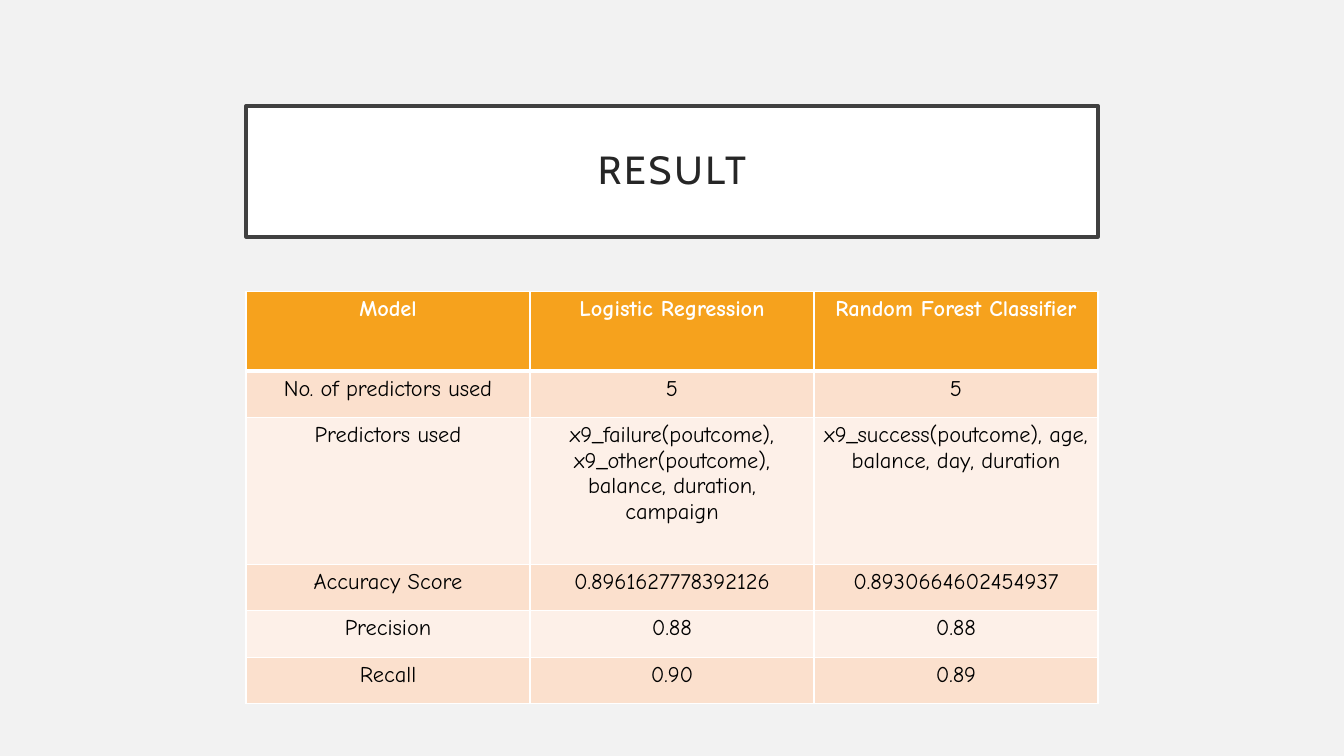
"""Build the slide that compares the results of two models."""
from dataclasses import dataclass

from lxml import etree
from pptx import Presentation
from pptx.dml.color import RGBColor
from pptx.enum.text import MSO_ANCHOR, MSO_AUTO_SIZE, PP_ALIGN
from pptx.oxml.ns import qn
from pptx.util import Inches, Pt

CENTER = PP_ALIGN.CENTER
MIDDLE = MSO_ANCHOR.MIDDLE
NO_FIT = MSO_AUTO_SIZE.NONE
TITLE_ONLY = 5
LEFT, WIDTH = 2.44, 8.45


@dataclass(frozen=True)
class Theme:
    back: str = "F2F2F2"
    white: str = "FFFFFF"
    frame: str = "404040"
    ink: str = "262626"
    black: str = "000000"
    head: str = "F6A21D"
    bands: tuple[str, str] = ("FBE0CD", "FDF0E8")
    title_font: str = "Cabin"
    cell_font: str = "Comic Neue"
    title_size: int = 28
    cell_size: int = 16


@dataclass(frozen=True)
class Row:
    height: float
    texts: tuple[str, str, str]


THEME = Theme()
ROWS = (
    Row(0.79, ("Model", "Logistic Regression", "Random Forest Classifier")),
    Row(0.46, ("No. of predictors used", "5", "5")),
    Row(1.46, ("Predictors used",
               "x9_failure(poutcome), x9_other(poutcome), balance, duration, campaign",
               "x9_success(poutcome), age, balance, day, duration")),
    Row(0.46, ("Accuracy Score", "0.8961627778392126", "0.8930664602454937")),
    Row(0.46, ("Precision", "0.88", "0.88")),
    Row(0.46, ("Recall", "0.90", "0.89")),
)


def paint(fill, color: str) -> None:
    fill.solid()
    fill.fore_color.rgb = RGBColor.from_string(color)


def write(frame, text: str, font: str, size: int, color: str, bold: bool = False):
    para = frame.paragraphs[0]
    para.alignment = CENTER
    run = para.add_run()
    run.text = text
    run.font.name = font
    run.font.size = Pt(size)
    run.font.bold = bold
    run.font.color.rgb = RGBColor.from_string(color)
    return run


def edge(cell, top: float, bottom: float) -> None:
    props = cell._tc.get_or_add_tcPr()
    sides = (("a:lnL", 1), ("a:lnR", 1), ("a:lnT", top), ("a:lnB", bottom))
    for spot, (tag, width) in enumerate(sides):
        line = etree.Element(qn(tag), w=str(Pt(width)))
        fill = etree.SubElement(line, qn("a:solidFill"))
        etree.SubElement(fill, qn("a:srgbClr"), val=THEME.white)
        props.insert(spot, line)


def add_title(slide) -> None:
    box = slide.shapes.title
    box.left, box.top = Inches(LEFT), Inches(1.05)
    box.width, box.height = Inches(WIDTH), Inches(1.3)
    paint(box.fill, THEME.white)
    paint(box.line.fill, THEME.frame)
    box.line.width = Pt(2.5)
    frame = box.text_frame
    frame.auto_size = NO_FIT
    frame.word_wrap = True
    frame.vertical_anchor = MIDDLE
    frame.margin_left = frame.margin_right = Inches(0.2)
    frame.margin_top = frame.margin_bottom = Inches(0.2)
    run = write(frame, "RESULT", THEME.title_font, THEME.title_size, THEME.ink)
    run._r.get_or_add_rPr().set("spc", "200")
    frame.paragraphs[0].line_spacing = 0.9


def add_grid(slide) -> None:
    total = sum(row.height for row in ROWS)
    shape = slide.shapes.add_table(
        len(ROWS), len(ROWS[0].texts),
        Inches(LEFT), Inches(2.89), Inches(WIDTH), Inches(total))
    grid = shape.table
    for r, row in enumerate(ROWS):
        grid.rows[r].height = Inches(row.height)
        head = r == 0
        fill = THEME.head if head else THEME.bands[(r - 1) % 2]
        color = THEME.white if head else THEME.black
        for c, text in enumerate(row.texts):
            cell = grid.cell(r, c)
            paint(cell.fill, fill)
            edge(cell, 3 if r == 1 else 1, 3 if head else 1)
            write(cell.text_frame, text, THEME.cell_font, THEME.cell_size, color, head)


def main() -> None:
    deck = Presentation()
    deck.slide_width, deck.slide_height = Inches(13.33), Inches(7.5)
    slide = deck.slides.add_slide(deck.slide_layouts[TITLE_ONLY])
    paint(slide.background.fill, THEME.back)
    add_title(slide)
    add_grid(slide)
    deck.save("out.pptx")


if __name__ == "__main__":
    main()
